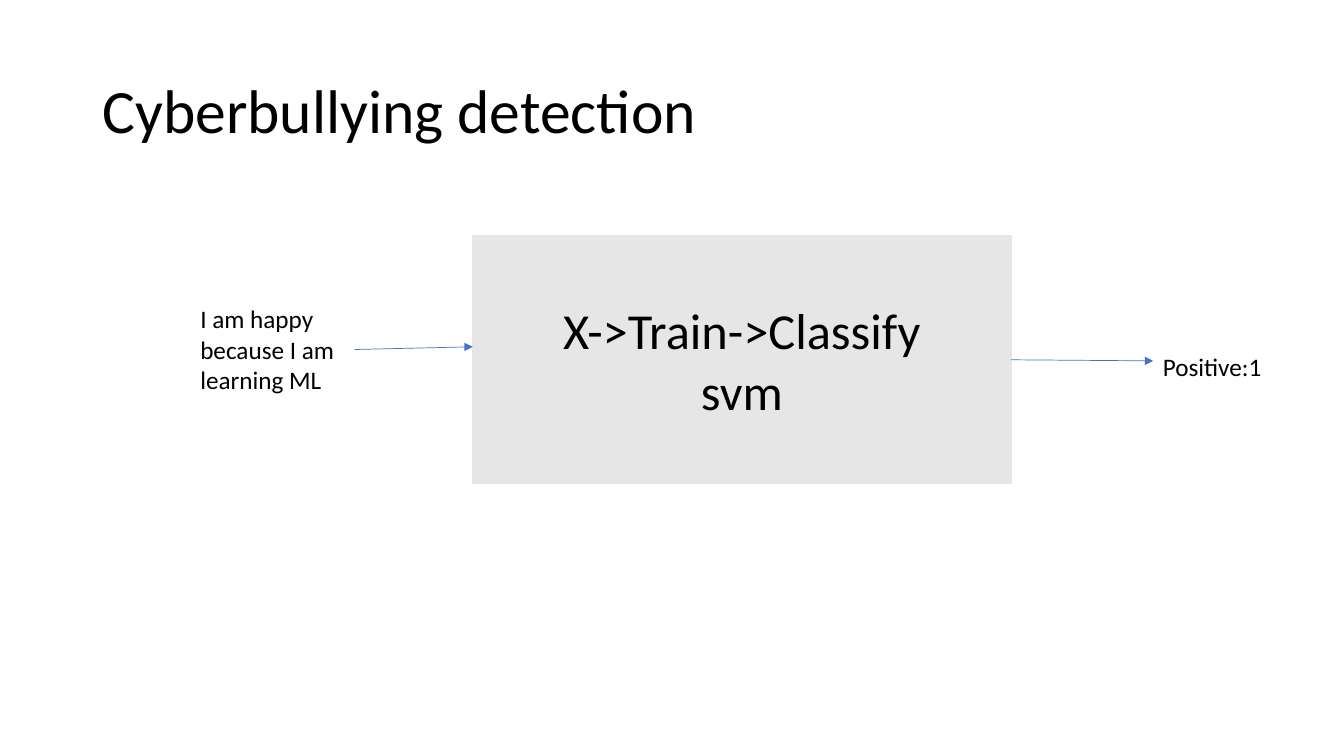
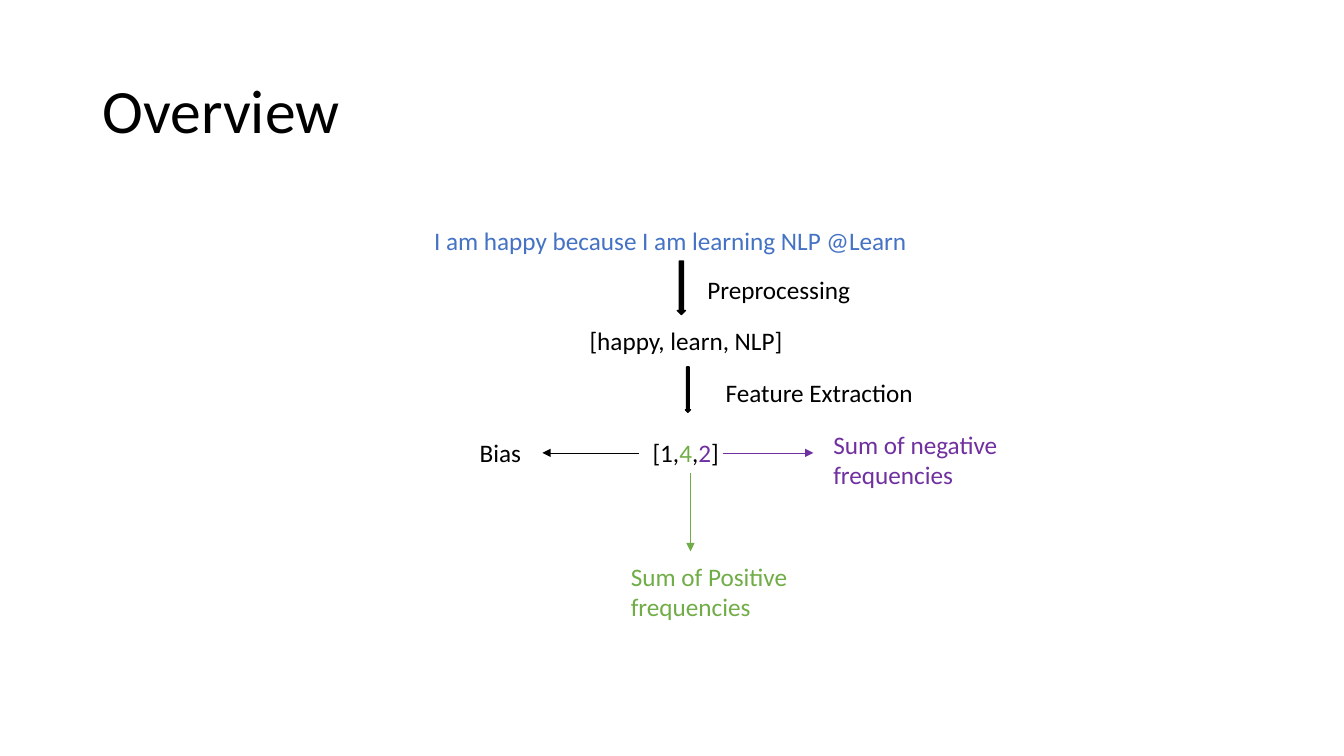
from lxml.etree import SubElement
from pptx import Presentation
from pptx.dml.color import RGBColor
from pptx.enum.shapes import MSO_CONNECTOR as Connector, MSO_SHAPE as Shape
from pptx.enum.text import MSO_ANCHOR as Anchor, PP_ALIGN as Align
from pptx.oxml.ns import qn
from pptx.util import Pt

FONT = "Calibri"
BLACK, BLUE, GREEN, PURPLE, GRAY = "000000", "4472C4", "70AD47", "7030A0", "E7E6E6"
RIGHT_SIDE, BOTTOM_SIDE = 3, 2
rgb = RGBColor.from_string


def add_label(slide, runs, left, top, width, height=29):
    """Add an 18 pt text box; runs is a list of (text, colour) pairs."""
    label = slide.shapes.add_textbox(Pt(left), Pt(top), Pt(width), Pt(height))
    label.text_frame.word_wrap = True
    paragraph = label.text_frame.paragraphs[0]
    paragraph.font.size = Pt(18)
    paragraph.font.name = FONT
    for text, color in runs:
        run = paragraph.add_run()
        run.text = text
        run.font.color.rgb = rgb(color)
    return label


def add_arrow(slide, start, end, color):
    arrow = slide.shapes.add_connector(
        Connector.STRAIGHT, *(Pt(value) for value in (*start, *end)))
    arrow.line.width = Pt(0.5)
    arrow.line.color.rgb = rgb(color)
    SubElement(arrow.line._get_or_add_ln(), qn("a:tailEnd"), type="triangle")
    SubElement(arrow._element.spPr, qn("a:effectLst"))
    return arrow


presentation = Presentation()
presentation.slide_width, presentation.slide_height = Pt(960), Pt(540)
title_only = presentation.slide_layouts[5]

slides = []
for heading in ("Cyberbullying detection", "Overview"):
    slide = presentation.slides.add_slide(title_only)
    title = slide.shapes.title
    title.left, title.top, title.width, title.height = Pt(66), Pt(28.8), Pt(828), Pt(104.4)
    title.text_frame.text = heading
    title.text_frame.vertical_anchor = Anchor.MIDDLE
    paragraph = title.text_frame.paragraphs[0]
    paragraph.alignment = Align.LEFT
    paragraph.line_spacing = 0.9
    paragraph.font.size = Pt(44)
    paragraph.font.name = FONT
    paragraph.font.color.rgb = rgb(BLACK)
    slides.append(slide)
detection, overview = slides

# Detection: sentence -> classifier -> result
sentence = add_label(detection, [("I am happy because I am learning ML", BLACK)],
                     136, 213.3, 117.4, 72.7)
classifier = detection.shapes.add_shape(
    Shape.RECTANGLE, Pt(337.7), Pt(168.5), Pt(384.5), Pt(177))
classifier.shadow.inherit = False
classifier.fill.solid()
classifier.fill.fore_color.rgb = rgb(GRAY)
classifier.line.color.rgb = rgb(GRAY)
classifier.line.width = Pt(1)
classifier.text_frame.text = "X->Train->Classify\nsvm"
classifier.text_frame.vertical_anchor = Anchor.MIDDLE
for paragraph in classifier.text_frame.paragraphs:
    paragraph.alignment = Align.CENTER
    paragraph.font.size = Pt(36)
    paragraph.font.name = FONT
    paragraph.font.color.rgb = rgb(BLACK)
add_label(detection, [("Positive:1", BLACK)], 823.5, 247.7, 95)

input_arrow = add_arrow(detection, (253.4, 249.7), (337.7, 247.7), BLUE)
input_arrow.begin_connect(sentence, RIGHT_SIDE)
output_arrow = add_arrow(detection, (722.2, 257), (823.7, 257.8), BLUE)
output_arrow.begin_connect(classifier, RIGHT_SIDE)

# Overview: processing steps from top to bottom
for text, color, left, top, width, height in (
    ("I am happy because I am learning NLP @Learn", BLUE, 303, 157.7, 380, 29),
    ("Preprocessing", BLACK, 498.2, 192.2, 130, 29),
    ("[happy, learn, NLP]", BLACK, 414, 229, 170, 29),
    ("Feature Extraction", BLACK, 511.2, 265.7, 165, 29),
    ("Bias", BLACK, 335.5, 309, 60, 29),
    ("Sum of negative frequencies", PURPLE, 588.2, 303.1, 136.8, 51),
    ("Sum of Positive frequencies", GREEN, 443.5, 397.4, 138.2, 51),
):
    add_label(overview, [(text, color)], left, top, width, height)

vector = add_label(
    overview,
    [("[1,", BLACK), ("4", GREEN), (",", BLACK), ("2", PURPLE), ("]", BLACK)],
    459, 309, 68.4)

for left, top, width, height in ((483.8, 186.5, 5.8, 38.2), (489.6, 262.1, 3.6, 32.4)):
    step = overview.shapes.add_shape(
        Shape.DOWN_ARROW, Pt(left), Pt(top), Pt(width), Pt(height))
    step.shadow.inherit = False
    step.fill.solid()
    step.fill.fore_color.rgb = rgb(BLACK)
    step.line.color.rgb = rgb(BLACK)
    step.line.width = Pt(1)

add_arrow(overview, (456.5, 323.5), (387.4, 323.5), BLACK)
add_arrow(overview, (516.2, 323.5), (581, 323.5), PURPLE)
positive_arrow = add_arrow(overview, (493.2, 338), (493.2, 393.8), GREEN)
positive_arrow.begin_connect(vector, BOTTOM_SIDE)

presentation.save("out.pptx")
